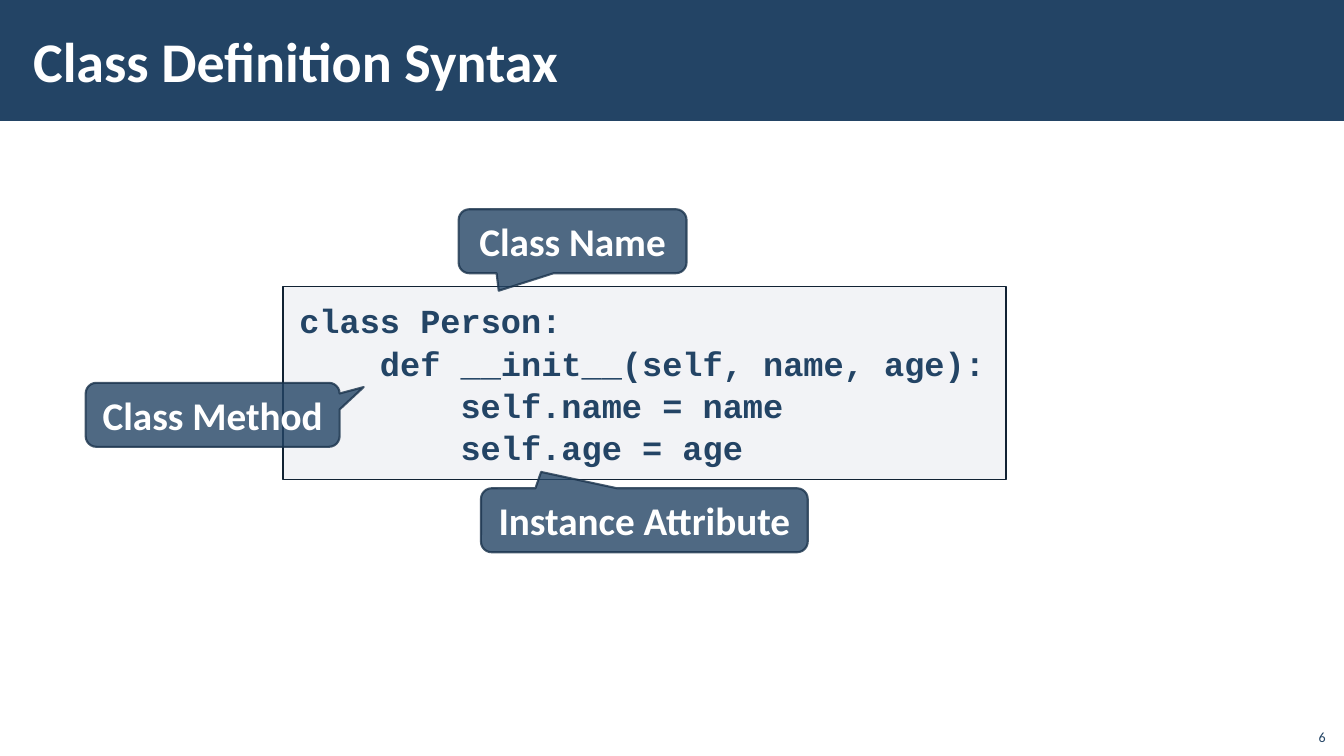
from pptx import Presentation
from pptx.dml.color import RGBColor
from pptx.enum import shapes, text
from pptx.oxml import ns
from pptx.util import Pt
from lxml import etree

NAVY = RGBColor(0x23, 0x44, 0x65)
DARK = RGBColor(0x11, 0x22, 0x33)
EDGE = RGBColor(0x1A, 0x33, 0x4C)
MIST = RGBColor(0xAD, 0xB4, 0xC3)
WHITE = RGBColor(0xFF, 0xFF, 0xFF)

CODE = [
    (0, "class Person:"),
    (1, "def __init__(self, name, age):"),
    (2, "self.name = name"),
    (2, "self.age = age"),
]
TAB = 57.6
CALLS = [
    ("Class Name", (327.6, 149.5, 162.8, 45.7), (-0.324, 0.774)),
    ("Class Method", (61.2, 273.5, 181.4, 45.7), (0.595, -0.434)),
    ("Instance Attribute", (343.6, 348.8, 233.4, 45.7), (-0.316, -0.756)),
]


def fade(fill, share):
    color = fill._xPr.find(ns.qn("a:solidFill"))[0]
    etree.SubElement(color, ns.qn("a:alpha"), val=str(share * 1000))


def add_box(slide, kind, area, color, share=100):
    box = slide.shapes.add_shape(kind, *map(Pt, area))
    box.shadow.inherit = False
    box.fill.solid()
    box.fill.fore_color.rgb = color
    if share < 100:
        fade(box.fill, share)
    box.line.fill.background()
    return box


def set_line(box, color, width, share=100):
    box.line.color.rgb = color
    box.line.width = Pt(width)
    if share < 100:
        fade(box.line.fill, share)


def set_frame(box, anchor, side=7.2, edge=3.6):
    frame = box.text_frame
    frame.word_wrap = True
    frame.vertical_anchor = anchor
    frame.margin_left = frame.margin_right = Pt(side)
    frame.margin_top = frame.margin_bottom = Pt(edge)
    return frame


def add_run(para, words, size, color, bold=True, face="Calibri"):
    run = para.add_run()
    run.text = words
    font = run.font
    font.name, font.size, font.bold = face, Pt(size), bold
    font.color.rgb = color


def add_label(slide, words, area, anchor, align, size, color, bold, side=7.2):
    box = slide.shapes.add_textbox(*map(Pt, area))
    para = set_frame(box, anchor, side).paragraphs[0]
    para.alignment = align
    add_run(para, words, size, color, bold)


def add_code(slide):
    area = (202.3, 204.5, 516.2, 138.2)
    box = add_box(slide, shapes.MSO_SHAPE.RECTANGLE, area, MIST, 15)
    set_line(box, DARK, 1)
    frame = set_frame(box, text.MSO_ANCHOR.TOP, 11.5, 8.6)
    for row, (depth, words) in enumerate(CODE):
        para = frame.add_paragraph() if row else frame.paragraphs[0]
        para.alignment = text.PP_ALIGN.LEFT
        para.line_spacing = 1.05
        para._p.get_or_add_pPr().set("marL", str(Pt(TAB * depth)))
        add_run(para, words, 24, NAVY, face="Courier New")


def add_call(slide, words, area, tip):
    kind = shapes.MSO_SHAPE.ROUNDED_RECTANGULAR_CALLOUT
    box = add_box(slide, kind, area, NAVY, 80)
    set_line(box, EDGE, 1.5, 80)
    box.adjustments[0], box.adjustments[1] = tip
    para = set_frame(box, text.MSO_ANCHOR.MIDDLE).paragraphs[0]
    para.alignment = text.PP_ALIGN.CENTER
    add_run(para, words, 28, WHITE)


def main():
    deck = Presentation()
    deck.slide_width, deck.slide_height = Pt(960), Pt(540)
    slide = deck.slides.add_slide(deck.slide_layouts[6])
    add_box(slide, shapes.MSO_SHAPE.RECTANGLE, (0, 0, 960, 86.4), NAVY)
    add_code(slide)
    add_label(slide, "Class Definition Syntax", (15.1, 7.9, 765.4, 69.8),
              text.MSO_ANCHOR.MIDDLE, text.PP_ALIGN.LEFT, 40, WHITE, True, 8.6)
    for call in CALLS:
        add_call(slide, *call)
    add_label(slide, "6", (925.2, 512.6, 28.8, 23),
              text.MSO_ANCHOR.BOTTOM, text.PP_ALIGN.RIGHT, 10, NAVY, False)
    deck.save("out.pptx")


if __name__ == "__main__":
    main()
